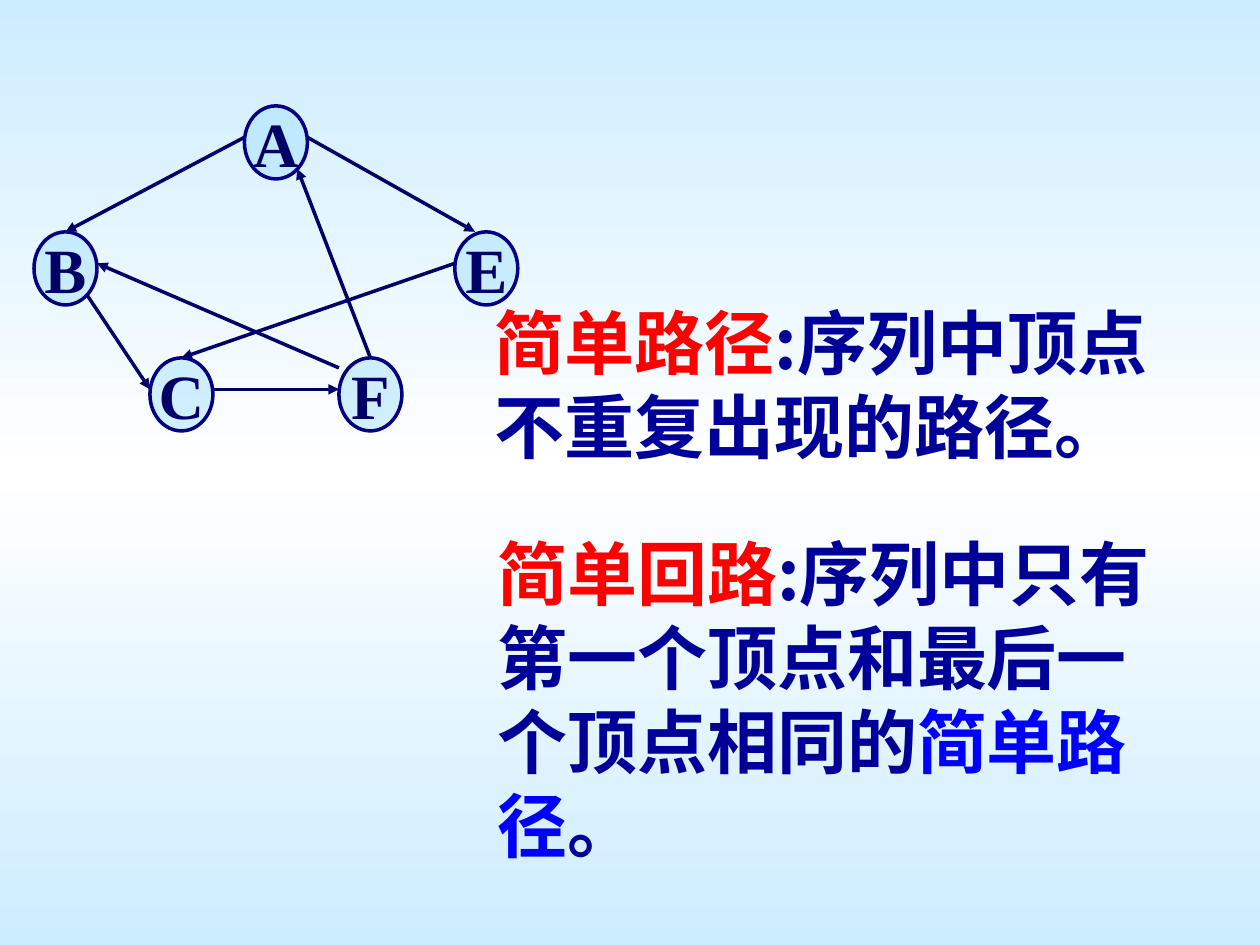
import copy

import pptx
import pptx.dml.color
import pptx.enum.dml
import pptx.enum.shapes
import pptx.enum.text
import pptx.oxml
import pptx.oxml.ns
import pptx.util
from pptx.util import Inches

NAVY, INK, RED, BLUE = "000066", "000099", "FF0000", "0000FF"
NODE_WIDTH, NODE_HEIGHT = 0.5, 0.58

# Left and top of each vertex
NODES = {
    "A": (1.94, 0.84),
    "B": (0.27, 1.84),
    "E": (3.61, 1.84),
    "C": (1.19, 2.84),
    "F": (2.69, 2.84),
}

# Start and end point of each directed edge
EDGES = [
    ((1.94, 1.09), (0.52, 1.84)),  # A to B
    ((0.69, 2.34), (1.19, 3.09)),  # B to C
    ((1.69, 3.09), (2.69, 3.09)),  # C to F
    ((2.94, 2.84), (2.36, 1.34)),  # F to A
    ((2.44, 1.09), (3.77, 1.84)),  # A to E
    ((2.69, 2.92), (0.77, 2.09)),  # F to B
    ((3.61, 2.09), (1.44, 2.84)),  # E to C
]


def rgb(value):
    return pptx.dml.color.RGBColor.from_string(value)


def add_child(parent, tag, **attributes):
    """Append an empty DrawingML element to parent."""
    child = pptx.oxml.parse_xml(f"<a:{tag} {pptx.oxml.ns.nsdecls('a')}/>")
    for name, value in attributes.items():
        child.set(name, value)
    parent.append(child)
    return child


class GraphSlide:
    node_font = "Times New Roman"
    text_font = "Noto Sans CJK SC"
    line_width = pptx.util.Pt(2)

    def __init__(self, slide):
        self.slide = slide
        self.graph = slide.shapes.add_group_shape()

    def background(self, colors):
        """Fill the background with evenly spaced vertical gradient stops."""
        fill = self.slide.background.fill
        fill.gradient()
        fill.gradient_angle = 90
        stop_list = self.slide.element.xpath(".//a:gsLst")[0]
        while len(stop_list) < len(colors):
            stop_list.append(copy.deepcopy(stop_list[0]))
        for index, (stop, color) in enumerate(zip(fill.gradient_stops, colors)):
            stop.position = index / (len(colors) - 1)
            stop.color.rgb = rgb(color)

    def run(self, paragraph, text, size, color, font):
        run = paragraph.add_run()
        run.text = text
        run.font.size = pptx.util.Pt(size)
        run.font.bold = True
        run.font.color.rgb = rgb(color)
        run.font.name = font
        add_child(run.font._element, "ea", typeface=font)

    def edge(self, start, end):
        connector = self.graph.shapes.add_connector(
            pptx.enum.shapes.MSO_CONNECTOR.STRAIGHT,
            *[Inches(length) for length in (*start, *end)])
        connector.line.color.rgb = rgb(NAVY)
        connector.line.width = self.line_width
        add_child(connector.line._get_or_add_ln(), "tailEnd", type="triangle")
        add_child(connector._element.spPr, "effectLst")

    def node(self, label, left, top):
        shape = self.graph.shapes.add_shape(
            pptx.enum.shapes.MSO_SHAPE.OVAL, Inches(left), Inches(top),
            Inches(NODE_WIDTH), Inches(NODE_HEIGHT))
        shape.shadow.inherit = False
        shape.fill.solid()
        shape.fill.fore_color.rgb = rgb("A7E2FF")
        fill_color = shape._element.spPr.xpath("./a:solidFill/a:srgbClr")[0]
        add_child(fill_color, "alpha", val="50000")
        shape.line.color.rgb = rgb("000080")
        shape.line.width = self.line_width
        frame = shape.text_frame
        frame.word_wrap = False
        frame.vertical_anchor = pptx.enum.text.MSO_ANCHOR.MIDDLE
        paragraph = frame.paragraphs[0]
        paragraph.alignment = pptx.enum.text.PP_ALIGN.CENTER
        self.run(paragraph, label, 36, NAVY, self.node_font)

    def definition(self, left, top, width, height, runs):
        box = self.slide.shapes.add_textbox(
            Inches(left), Inches(top), Inches(width), Inches(height))
        frame = box.text_frame
        frame.word_wrap = True
        frame.auto_size = pptx.enum.text.MSO_AUTO_SIZE.SHAPE_TO_FIT_TEXT
        for text, color in runs:
            self.run(frame.paragraphs[0], text, 40, color, self.text_font)


def main():
    presentation = pptx.Presentation()
    presentation.slide_width = Inches(10)
    presentation.slide_height = Inches(7.5)
    blank_layout = presentation.slide_layouts[6]
    page = GraphSlide(presentation.slides.add_slide(blank_layout))
    page.background(["CCECFF", "FFFFFF", "CCECFF"])

    for start, end in EDGES:
        page.edge(start, end)
    for label, (left, top) in NODES.items():
        page.node(label, left, top)

    page.definition(3.83, 2.33, 5.71, 1.44, [
        ("简单路径", RED),
        (":序列中顶点不重复出现的路径。", INK),
    ])
    page.definition(3.85, 4.16, 5.71, 2.77, [
        ("简单回路", RED),
        (":序列中只有第一个顶点和最后一个顶点相同的", INK),
        ("简单路径", BLUE),
        ("。", INK),
    ])
    presentation.save("out.pptx")


if __name__ == "__main__":
    main()
